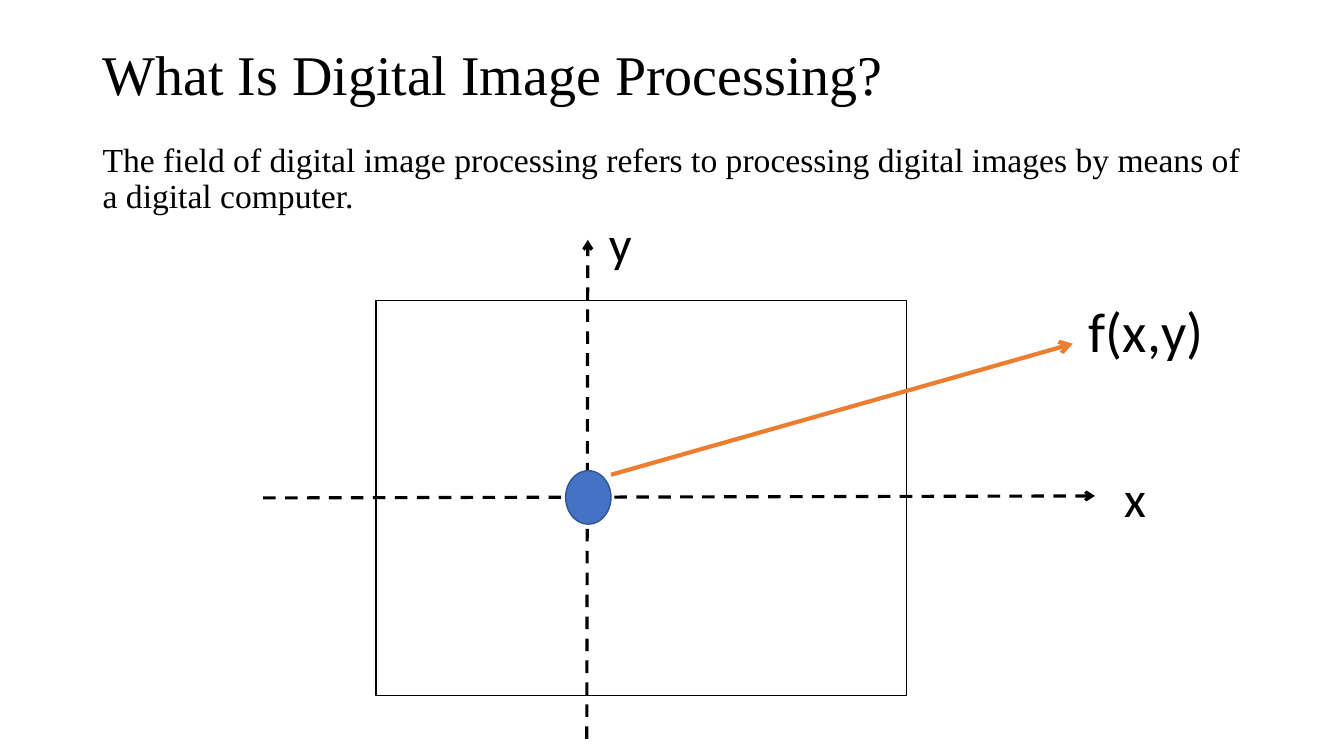
import pptx
import pptx.dml.color
import pptx.enum.dml
import pptx.enum.shapes
import pptx.enum.text
import pptx.oxml
import pptx.oxml.ns
import pptx.util
from pptx.util import Inches

COLORS = {
    "text": "000000",
    "axis": "000000",
    "image_fill": "FFFFFF",
    "image_line": "000000",
    "pixel_fill": "4472C4",
    "pixel_line": "325491",
    "value_arrow": "ED7D31",
}
SERIF = "Times New Roman"
SANS = "Calibri"


def color(name):
    return pptx.dml.color.RGBColor.from_string(COLORS[name])


def add_text(slide, box, text, size, font, wrap=True, anchor="TOP", spacing=1.0):
    shape = slide.shapes.add_textbox(*map(Inches, box))
    frame = shape.text_frame
    frame.word_wrap = wrap
    frame.vertical_anchor = getattr(pptx.enum.text.MSO_ANCHOR, anchor)
    paragraph = frame.paragraphs[0]
    paragraph.text = text
    paragraph.line_spacing = spacing
    paragraph.font.size = pptx.util.Pt(size)
    paragraph.font.name = font
    paragraph.font.color.rgb = color("text")


def add_label(slide, box, text, size):
    add_text(slide, box, text, size, SANS, wrap=False)


def add_outlined_shape(slide, kind, box, fill, line):
    shape = slide.shapes.add_shape(kind, *map(Inches, box))
    shape.shadow.inherit = False
    shape.fill.solid()
    shape.fill.fore_color.rgb = color(fill)
    shape.line.color.rgb = color(line)
    shape.line.width = pptx.util.Pt(1)


def add_arrow(slide, start, end, line, width, dashed=False):
    arrow = slide.shapes.add_connector(
        pptx.enum.shapes.MSO_CONNECTOR.STRAIGHT, *map(Inches, start + end))
    arrow.line.color.rgb = color(line)
    arrow.line.width = pptx.util.Pt(width)
    if dashed:
        arrow.line.dash_style = pptx.enum.dml.MSO_LINE.DASH
    namespace = pptx.oxml.ns.nsdecls("a")
    arrow.line._get_or_add_ln().append(
        pptx.oxml.parse_xml(f'<a:tailEnd {namespace} type="arrow"/>'))
    arrow._element.spPr.append(pptx.oxml.parse_xml(f"<a:effectLst {namespace}/>"))


def main():
    presentation = pptx.Presentation()
    presentation.slide_width = Inches(13.33)
    presentation.slide_height = Inches(7.5)
    slide = presentation.slides.add_slide(presentation.slide_layouts[6])

    add_text(slide, (0.92, 0.4, 11.5, 0.74), "What Is Digital Image Processing?",
             40, SERIF, anchor="MIDDLE", spacing=0.9)
    add_text(slide, (0.92, 1.37, 11.5, 5.39),
             "The field of digital image processing refers to processing "
             "digital images by means of a digital computer.",
             24, SERIF, spacing=0.9)

    shapes = pptx.enum.shapes.MSO_SHAPE
    add_outlined_shape(slide, shapes.RECTANGLE, (3.73, 2.98, 5.26, 3.92),
                       "image_fill", "image_line")
    add_arrow(slide, (2.61, 4.94), (10.86, 4.92), "axis", 2.25, dashed=True)
    add_arrow(slide, (5.82, 7.33), (5.83, 2.38), "axis", 2.25, dashed=True)
    add_outlined_shape(slide, shapes.OVAL, (5.61, 4.67, 0.45, 0.53),
                       "pixel_fill", "pixel_line")
    add_arrow(slide, (6.06, 4.71), (10.64, 3.41), "value_arrow", 3)

    add_label(slide, (10.7, 2.89, 1.35, 0.77), "f(x,y)", 40)
    add_label(slide, (11.05, 4.58, 0.42, 0.71), "x", 36)
    add_label(slide, (5.94, 2.05, 0.43, 0.71), "y", 36)

    presentation.save("out.pptx")


if __name__ == "__main__":
    main()
